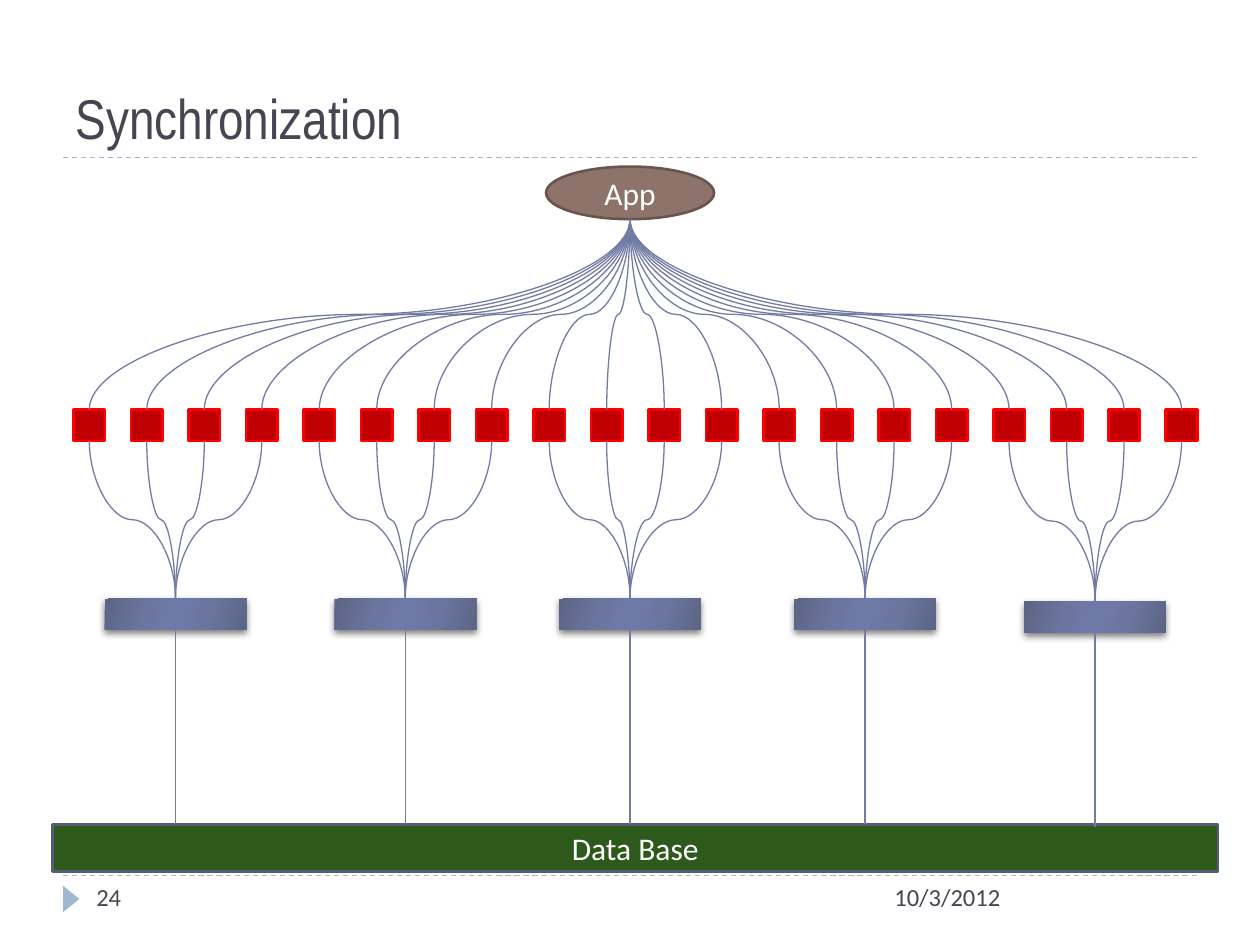
import pptx
import pptx.dml.color
import pptx.enum.dml
import pptx.enum.shapes
import pptx.enum.text
import pptx.oxml
import pptx.oxml.ns
import pptx.util

RGB = pptx.dml.color.RGBColor
INK = RGB(0x46, 0x46, 0x53)
WHITE = RGB(0xFF, 0xFF, 0xFF)
PALE = RGB(0x9F, 0xB8, 0xCD)
BLUE = RGB(0x72, 0x7C, 0xA3)
BLUE_EDGE = RGB(0x54, 0x5C, 0x79)
BROWN = RGB(0x8E, 0x73, 0x6A)
BROWN_EDGE = RGB(0x69, 0x55, 0x4E)
RED = RGB(0xC0, 0x00, 0x00)
RED_EDGE = RGB(0xFF, 0x00, 0x00)
GREEN = RGB(0x2D, 0x59, 0x1B)
SHADE = RGB(0x5D, 0x65, 0x85)
MID = RGB(0x6B, 0x75, 0x9E)
GLOW = RGB(0x6E, 0x79, 0xA7)
BLACK = RGB(0x00, 0x00, 0x00)
HUB_STOPS = [(0, SHADE), (30, MID), (45, GLOW), (55, GLOW), (73, MID), (100, SHADE)]

KIND = pptx.enum.shapes.MSO_SHAPE
LINK = pptx.enum.shapes.MSO_CONNECTOR
ALIGN = pptx.enum.text.PP_ALIGN
ANCHOR = pptx.enum.text.MSO_ANCHOR
DASH = pptx.enum.dml.MSO_LINE.DASH
COLS, ROWS = 80, 60


class Canvas:
    body_font = "Calibri"
    title_font = "Arial Narrow"

    def __init__(self, prs):
        self.cell_w = prs.slide_width / COLS
        self.cell_h = prs.slide_height / ROWS
        self.slide = prs.slides.add_slide(prs.slide_layouts[5])
        self.shapes = self.slide.shapes

    def x(self, cols):
        return pptx.util.Emu(round(cols * self.cell_w))

    def y(self, rows):
        return pptx.util.Emu(round(rows * self.cell_h))

    def box(self, col, row, cols, rows):
        return self.x(col), self.y(row), self.x(cols), self.y(rows)

    def text(self, tf, words, size, color, font=body_font, align=ALIGN.LEFT, anchor=ANCHOR.TOP):
        tf.word_wrap = True
        tf.auto_size = pptx.enum.text.MSO_AUTO_SIZE.NONE
        tf.vertical_anchor = anchor
        p = tf.paragraphs[0]
        p.alignment = align
        r = p.add_run()
        r.text = words
        r.font.name = font
        r.font.size = pptx.util.Pt(size)
        r.font.color.rgb = color

    def title(self, words, *place):
        sp = self.shapes.title
        sp.left, sp.top, sp.width, sp.height = self.box(*place)
        self.text(sp.text_frame, words, 32, INK, self.title_font, anchor=ANCHOR.BOTTOM)

    def label(self, words, *place):
        sp = self.shapes.add_textbox(*self.box(*place))
        self.text(sp.text_frame, words, 14, INK)

    def shape(self, kind, *place, fill, edge=None, words=None):
        sp = self.shapes.add_shape(kind, *self.box(*place))
        sp.shadow.inherit = False
        sp.fill.solid()
        sp.fill.fore_color.rgb = fill
        if edge is None:
            sp.line.fill.background()
        else:
            sp.line.color.rgb = edge
            sp.line.width = pptx.util.Pt(1.5)
        if words:
            self.text(sp.text_frame, words, 18, WHITE, align=ALIGN.CENTER, anchor=ANCHOR.MIDDLE)
        return sp

    def hub(self, *place):
        sp = self.shape(KIND.RECTANGLE, *place, fill=BLUE)
        ns = pptx.oxml.ns.nsdecls("a")
        stops = "".join(
            f'<a:gs pos="{pos * 1000}"><a:srgbClr val="{color}"/></a:gs>' for pos, color in HUB_STOPS
        )
        grad = pptx.oxml.parse_xml(
            f'<a:gradFill {ns} rotWithShape="1"><a:gsLst>{stops}</a:gsLst>'
            f'<a:lin ang="{16 * 60000}" scaled="0"/></a:gradFill>'
        )
        sp_pr = sp._element.spPr
        sp_pr.replace(sp_pr.find(pptx.oxml.ns.qn("a:solidFill")), grad)
        sp_pr.find(pptx.oxml.ns.qn("a:effectLst")).append(pptx.oxml.parse_xml(
            f'<a:outerShdw {ns} blurRad="{pptx.util.Pt(4)}" dist="{pptx.util.Pt(2)}" '
            f'dir="{90 * 60000}" rotWithShape="0"><a:srgbClr val="{BLACK}">'
            '<a:alpha val="50000"/></a:srgbClr></a:outerShdw>'
        ))

    def line(self, x1, y1, x2, y2, color=BLUE, kind=LINK.STRAIGHT, dash=None):
        cxn = self.shapes.add_connector(kind, self.x(x1), self.y(y1), self.x(x2), self.y(y2))
        cxn.line.color.rgb = color
        cxn.line.width = pptx.util.Pt(0.75)
        cxn.line.dash_style = dash
        cxn._element.spPr.append(
            pptx.oxml.parse_xml(f'<a:effectLst {pptx.oxml.ns.nsdecls("a")}/>')
        )
        return cxn

    def curve(self, x1, y1, x2, y2):
        mid_x, mid_y = (x1 + x2) / 2, (y1 + y2) / 2
        half_w, half_h = (y2 - y1) / 2, abs(x2 - x1) / 2
        turn = 90
        if x2 > x1:
            half_w, turn = -half_w, 270
        cxn = self.line(mid_x - half_w, mid_y - half_h, mid_x + half_w, mid_y + half_h,
                        kind=LINK.CURVE)
        cxn._element.spPr.xfrm.set("rot", str(turn * 60000))


def main():
    prs = pptx.Presentation()
    prs.slide_width = pptx.util.Inches(10)
    prs.slide_height = pptx.util.Inches(7.5)
    c = Canvas(prs)

    for row in (55.6, 10):
        c.line(4, row, 76, row, PALE, dash=DASH)
    marker = c.shape(KIND.ISOSCELES_TRIANGLE, 3.68, 56.56, 1.68, 1.04, fill=PALE)
    marker.rotation = 90
    c.title("Synchronization", 4, 1.33, 72, 8.67)
    c.label("10/3/2012", 56, 55.6, 20, 3.2)
    c.label("24", 5.33, 55.6, 17.33, 3.2)

    app_bottom, node_top, node_size, hub_w, hub_h, db_top = 13.92, 26, 2, 9, 2, 52.33
    node_bottom = node_top + node_size
    node_xs = [5.67 + 3.65 * i for i in range(20)]
    hubs = [(11.14, 38), (25.73, 38), (40, 38), (54.93, 38), (69.53, 38.17)]
    per_hub = len(node_xs) // len(hubs)

    c.shape(KIND.OVAL, 34.67, 10.58, 10.67, app_bottom - 10.58,
            fill=BROWN, edge=BROWN_EDGE, words="App")
    for x in node_xs:
        c.shape(KIND.RECTANGLE, x - node_size / 2, node_top, node_size, node_size,
                fill=RED, edge=RED_EDGE)
    for x in node_xs:
        c.curve(40, app_bottom, x, node_top)
    for x, top in hubs:
        c.hub(x - hub_w / 2, top, hub_w, hub_h)
    for i, x in enumerate(node_xs):
        c.curve(x, node_bottom, *hubs[i // per_hub])
    c.shape(KIND.RECTANGLE, 3.33, db_top, 74, 3, fill=GREEN, edge=BLUE_EDGE, words="Data Base")
    for x, top in hubs:
        c.line(x, top + hub_h, x, top + db_top - 38)

    prs.save("out.pptx")


if __name__ == "__main__":
    main()
